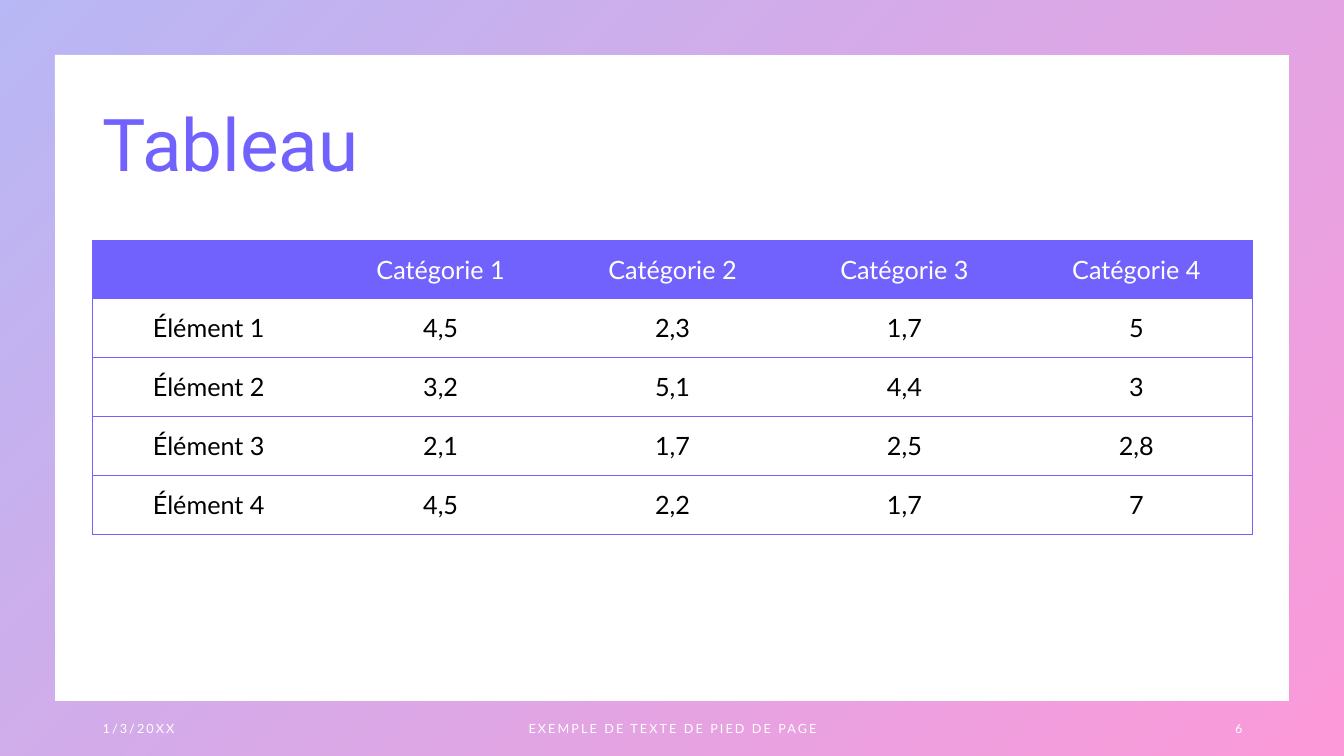
from lxml import etree
from pptx import Presentation
from pptx.dml.color import RGBColor
from pptx.enum import shapes, text
from pptx.oxml import ns
from pptx.util import Inches, Pt

VIOLET = RGBColor(0x71, 0x62, 0xFE)
BLUE = RGBColor(0x4D, 0x4E, 0xE6)
PINK = RGBColor(0xF9, 0x00, 0xA0)
WHITE = RGBColor(0xFF, 0xFF, 0xFF)
BLACK = RGBColor(0x00, 0x00, 0x00)

LEFT, CENTER, RIGHT = text.PP_ALIGN.LEFT, text.PP_ALIGN.CENTER, text.PP_ALIGN.RIGHT
TITLE = {"name": "Roboto", "size": Pt(52)}
BODY = {"name": "Lato", "size": Pt(18)}
FOOTER = {"name": "Lato", "size": Pt(9)}

ROWS = [
    ["", "Catégorie 1", "Catégorie 2", "Catégorie 3", "Catégorie 4"],
    ["Élément 1", "4,5", "2,3", "1,7", "5"],
    ["Élément 2", "3,2", "5,1", "4,4", "3"],
    ["Élément 3", "2,1", "1,7", "2,5", "2,8"],
    ["Élément 4", "4,5", "2,2", "1,7", "7"],
]
FOOTERS = [
    (0.92, 3, "1/3/20XX", LEFT),
    (4.42, 4.5, "EXEMPLE DE TEXTE DE PIED DE PAGE", CENTER),
    (9.42, 3, "6", RIGHT),
]


def write(p, words, font, color, align):
    p.alignment = align
    r = p.add_run()
    r.text = words
    for key, value in font.items():
        setattr(r.font, key, value)
    r.font.color.rgb = color
    return r


def add_text(s, box, words, font, color, align=LEFT, spacing=0):
    tf = s.shapes.add_textbox(*map(Inches, box)).text_frame
    tf.word_wrap = True
    tf.vertical_anchor = text.MSO_ANCHOR.MIDDLE
    r = write(tf.paragraphs[0], words, font, color, align)
    if spacing:
        r.font._element.set("spc", str(spacing))
    return tf


def add_frame(s):
    sp = s.shapes.add_shape(shapes.MSO_SHAPE.FRAME, 0, 0, Inches(13.33), Inches(7.5))
    sp.adjustments[0] = 0.072
    sp.shadow.inherit = False
    sp.line.fill.background()
    sp.fill.gradient()
    sp.fill.gradient_angle = 315
    for stop, color, position in zip(sp.fill.gradient_stops, (BLUE, PINK), (0, 1)):
        stop.color.rgb = color
        stop.position = position
    for clr in sp._element.spPr.iter(ns.qn("a:srgbClr")):
        etree.SubElement(clr, ns.qn("a:alpha"), val="40000")


def add_border(cell, side, color):
    ln = etree.SubElement(cell._tc.get_or_add_tcPr(), ns.qn(f"a:ln{side}"), w=str(Pt(0.5)))
    if color is None:
        etree.SubElement(ln, ns.qn("a:noFill"))
    else:
        fill = etree.SubElement(ln, ns.qn("a:solidFill"))
        etree.SubElement(fill, ns.qn("a:srgbClr"), val=str(color))


def add_grid(s, box, rows):
    last = len(rows[0]) - 1
    table = s.shapes.add_table(len(rows), last + 1, *map(Inches, box)).table
    for i, row in enumerate(rows):
        for j, words in enumerate(row):
            cell = table.cell(i, j)
            cell.vertical_anchor = text.MSO_ANCHOR.MIDDLE
            edges = {"L": j == 0, "R": j == last, "T": True, "B": True}
            for side, drawn in edges.items():
                add_border(cell, side, VIOLET if drawn else None)
            if i == 0:
                cell.fill.solid()
                cell.fill.fore_color.rgb = VIOLET
            else:
                cell.fill.background()
            if words:
                color = BLACK if i else WHITE
                r = write(cell.text_frame.paragraphs[0], words, BODY, color, CENTER)
                r.font.bold = False


def main():
    prs = Presentation()
    prs.slide_width, prs.slide_height = Inches(13.33), Inches(7.5)
    s = prs.slides.add_slide(prs.slide_layouts[6])
    add_frame(s)
    title = add_text(s, (0.92, 0.74, 11.5, 1.45), "Tableau", TITLE, VIOLET)
    title.paragraphs[0].line_spacing = 0.9
    add_grid(s, (0.92, 2.38, 11.5, 2.92), ROWS)
    for left, width, words, align in FOOTERS:
        add_text(s, (left, 7.03, width, 0.4), words, FOOTER, WHITE, align, 150)
    prs.save("out.pptx")


if __name__ == "__main__":
    main()
